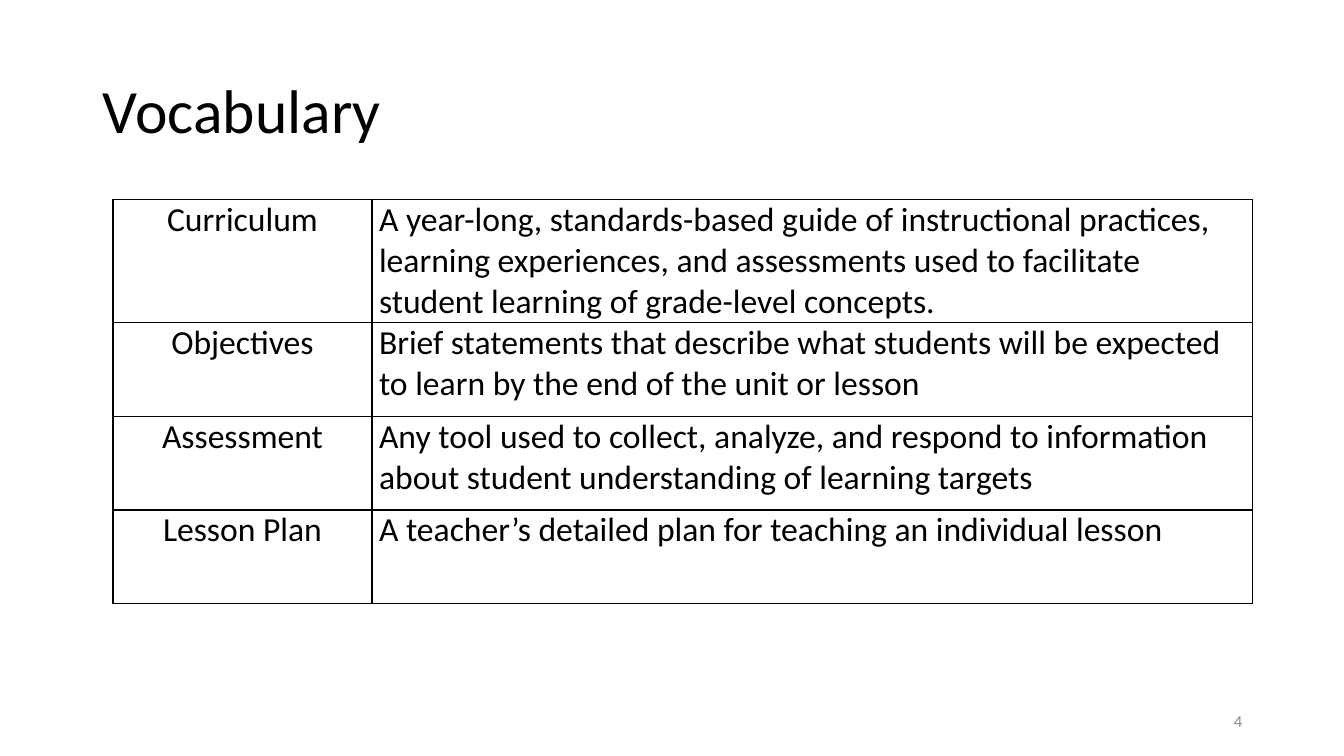
"""Build the Vocabulary slide: a title, a table of terms and a page number."""
from lxml import etree
from pptx import Presentation
from pptx import util as u
from pptx.dml.color import RGBColor
from pptx.enum import text
from pptx.oxml.ns import qn

TITLE = "Vocabulary"
PAGE = "4"
TERMS = [
    ("Curriculum", "A year-long, standards-based guide of instructional practices, learning "
                   "experiences, and assessments used to facilitate student learning of "
                   "grade-level concepts."),
    ("Objectives", "Brief statements that describe what students will be expected to learn "
                   "by the end of the unit or lesson"),
    ("Assessment", "Any tool used to collect, analyze, and respond to information about "
                   "student understanding of learning targets"),
    ("Lesson Plan", "A teacher’s detailed plan for teaching an individual lesson"),
]
COLORS = {"ink": "000000", "page": "8C8C8C"}
FONT = "Calibri"
WIDTH, HEIGHT = 13.33, 7.5
RIGHT = 12.42
TABLE_TOP = 1.98
COLUMNS = (2.57, 8.73)
ROWS = (1.17,) + (0.93,) * 3
ALIGN = (text.PP_ALIGN.CENTER, text.PP_ALIGN.LEFT)


def write(tf, words, size, color, align):
    """Put one formatted paragraph in a text frame."""
    tf.text = words
    p = tf.paragraphs[0]
    p.alignment = align
    f = p.runs[0].font
    f.name, f.size = FONT, u.Pt(size)
    f.color.rgb = RGBColor.from_string(COLORS[color])
    return p


def add_borders(cell):
    """Draw a one-point line on each side of a cell."""
    tc_pr = cell._tc.get_or_add_tcPr()
    for side in ("lnL", "lnR", "lnT", "lnB"):
        ln = etree.SubElement(tc_pr, qn(f"a:{side}"), w=str(u.Pt(1)))
        fill = etree.SubElement(ln, qn("a:solidFill"))
        etree.SubElement(fill, qn("a:srgbClr"), val=COLORS["ink"])


def add_terms(s):
    """Add the table with terms on the left and meanings on the right."""
    left = RIGHT - sum(COLUMNS)
    box = [u.Inches(v) for v in (left, TABLE_TOP, sum(COLUMNS), sum(ROWS))]
    table = s.shapes.add_table(len(ROWS), len(COLUMNS), *box).table
    table.first_row = table.horz_banding = False
    for column, width in zip(table.columns, COLUMNS):
        column.width = u.Inches(width)
    for row, height, words in zip(table.rows, ROWS, TERMS):
        row.height = u.Inches(height)
        for cell, entry, align in zip(row.cells, words, ALIGN):
            cell.margin_left = cell.margin_right = u.Inches(0.07)
            cell.margin_top = cell.margin_bottom = 0
            add_borders(cell)
            cell.fill.background()
            write(cell.text_frame, entry, 24, "ink", align)


def main():
    prs = Presentation()
    prs.slide_width, prs.slide_height = u.Inches(WIDTH), u.Inches(HEIGHT)
    s = prs.slides.add_slide(prs.slide_layouts[5])

    title = s.shapes.title
    title.left, title.top, title.width, title.height = map(u.Inches, (0.92, 0.4, 11.5, 1.45))
    title.text_frame.vertical_anchor = text.MSO_ANCHOR.MIDDLE
    p = write(title.text_frame, TITLE, 44, "ink", text.PP_ALIGN.LEFT)
    p.line_spacing = 0.9

    add_terms(s)

    page = s.shapes.add_textbox(*map(u.Inches, (RIGHT - 3, 6.95, 3, 0.4)))
    page.text_frame.word_wrap = True
    page.text_frame.vertical_anchor = text.MSO_ANCHOR.MIDDLE
    write(page.text_frame, PAGE, 12, "page", text.PP_ALIGN.RIGHT)

    prs.save("out.pptx")


if __name__ == "__main__":
    main()
